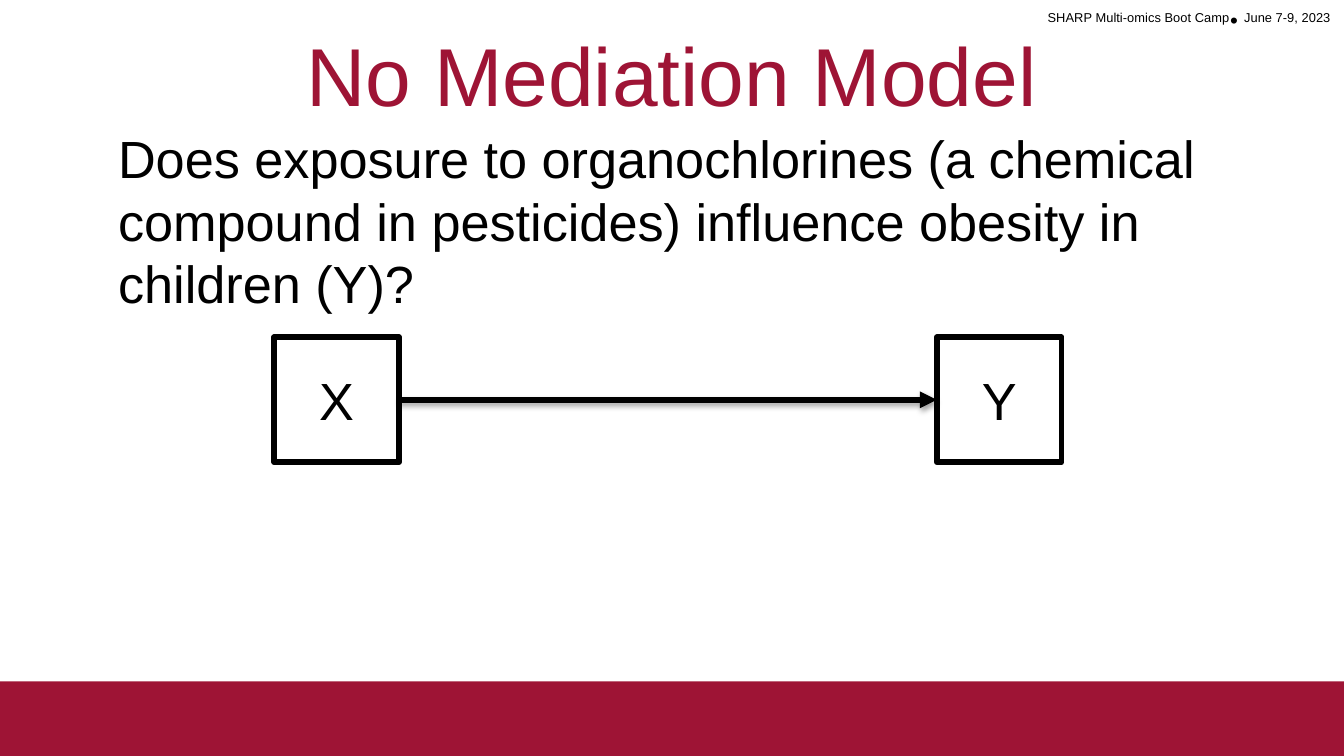
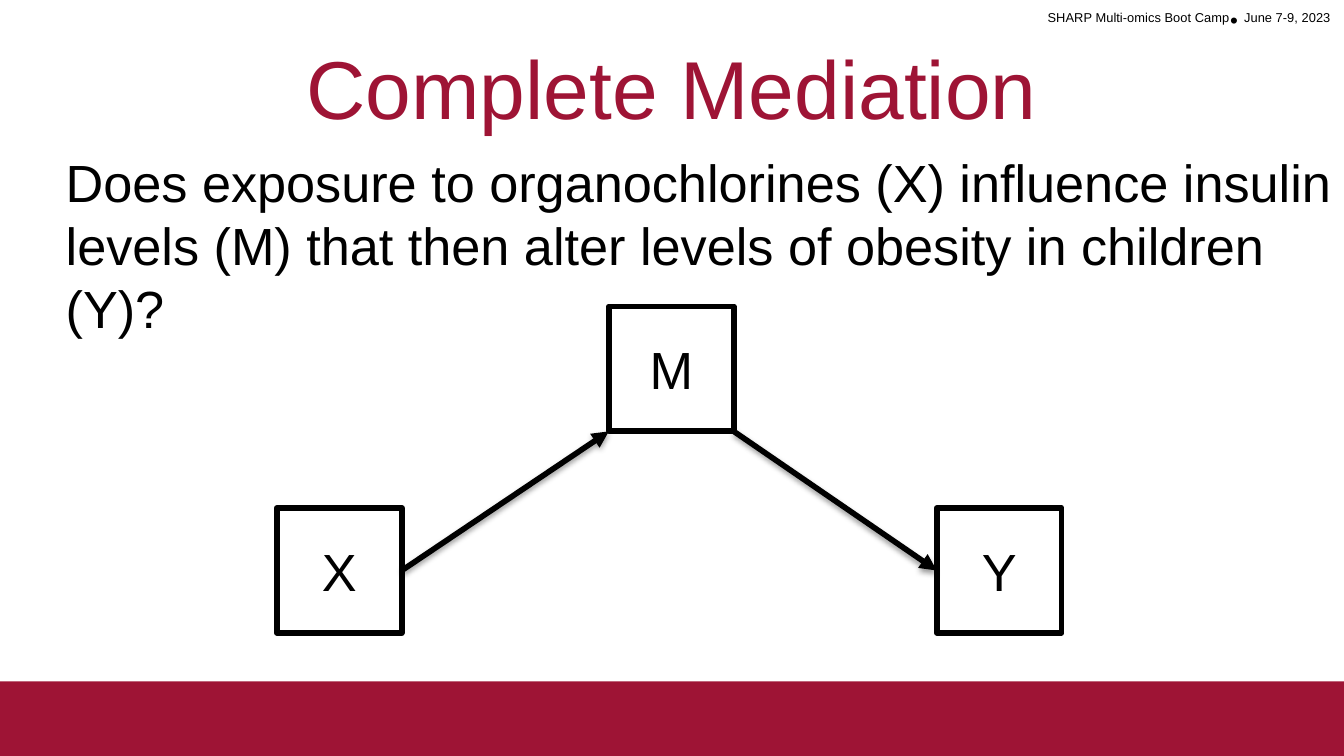
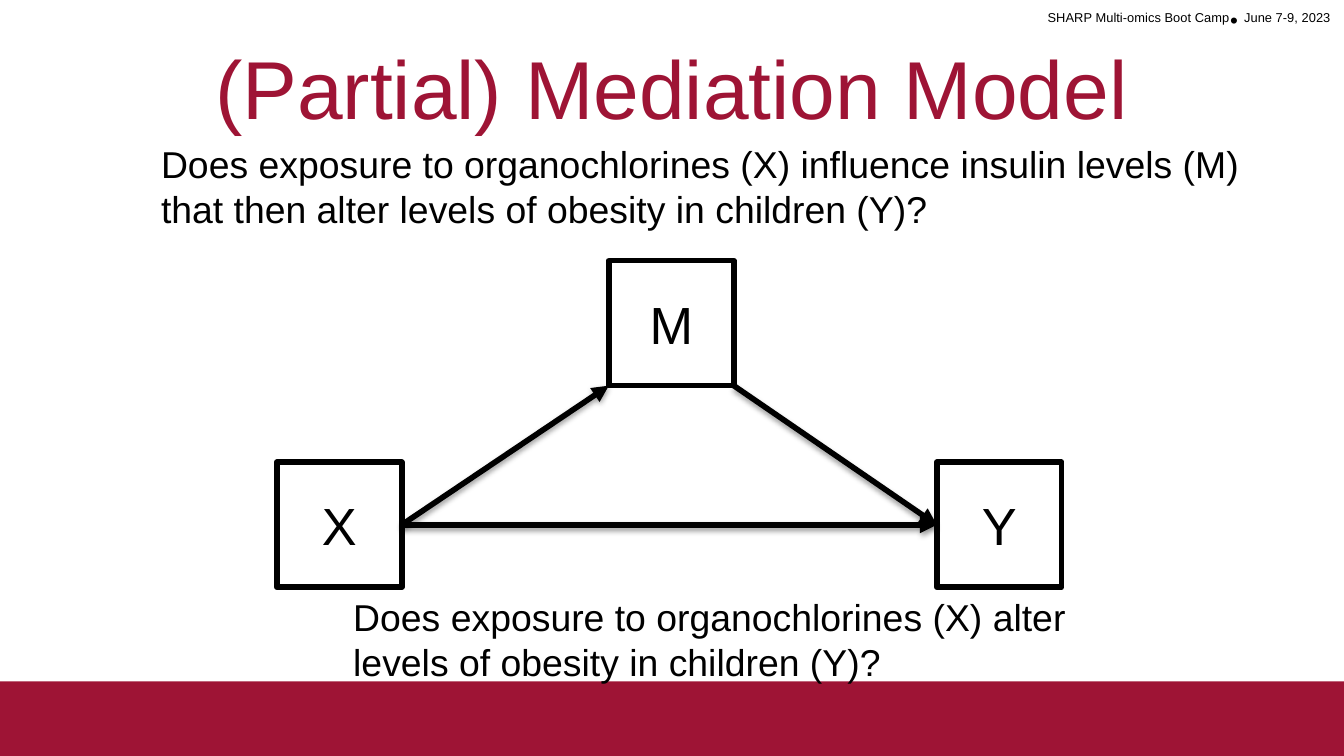
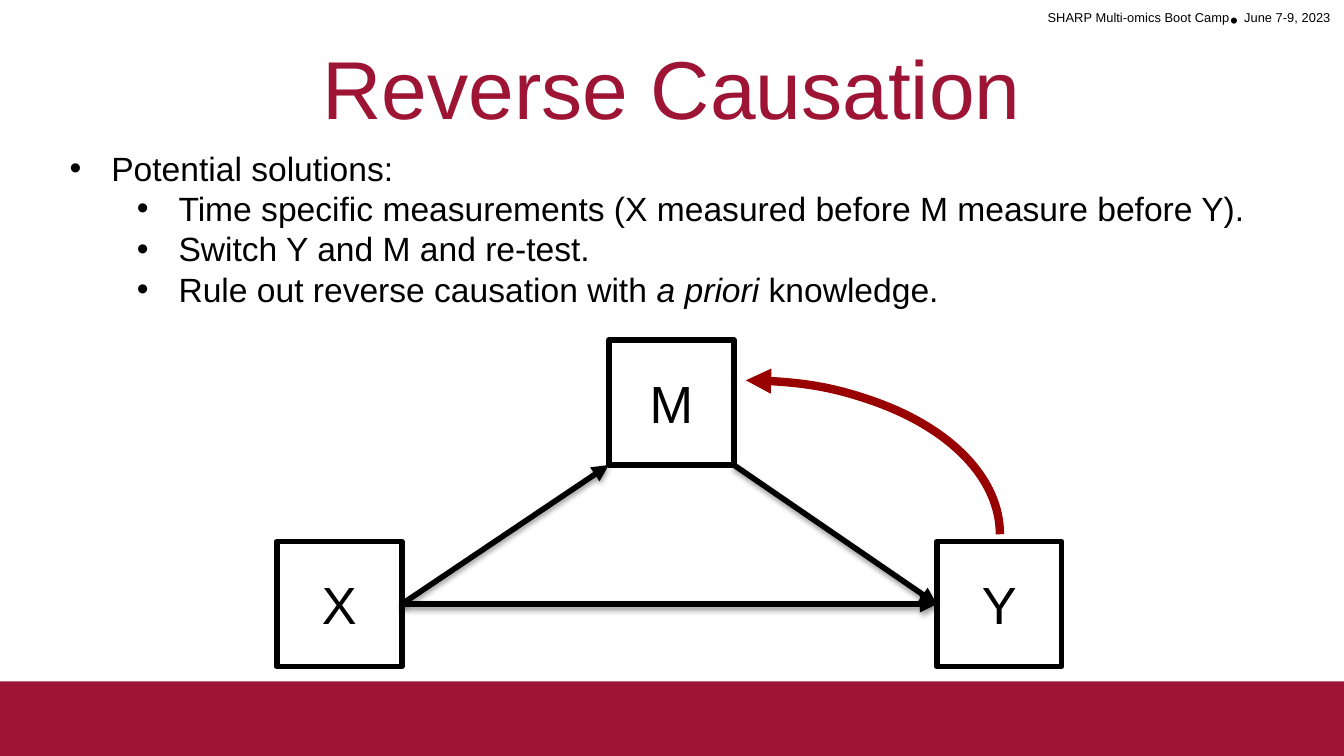
from dataclasses import dataclass

from lxml import etree
from pptx import Presentation
from pptx.dml.color import RGBColor
from pptx.enum.shapes import MSO_CONNECTOR, MSO_SHAPE
from pptx.enum.text import MSO_ANCHOR, PP_ALIGN
from pptx.oxml.ns import qn
from pptx.util import Inches, Pt

RECTANGLE = MSO_SHAPE.RECTANGLE
ARC = MSO_SHAPE.ARC
STRAIGHT = MSO_CONNECTOR.STRAIGHT
MIDDLE = MSO_ANCHOR.MIDDLE
LEFT, CENTER, RIGHT = PP_ALIGN.LEFT, PP_ALIGN.CENTER, PP_ALIGN.RIGHT
LEFT_SIDE, RIGHT_SIDE = 1, 3


@dataclass(frozen=True)
class Theme:
    """Colours, type sizes and line widths that the slides share."""
    font: str = "Arial"
    crimson: RGBColor = RGBColor(0x9E, 0x14, 0x35)
    reverse: RGBColor = RGBColor(0x99, 0x00, 0x00)
    ink: RGBColor = RGBColor(0, 0, 0)
    paper: RGBColor = RGBColor(0xFF, 0xFF, 0xFF)
    title: int = 44
    question: int = 28
    note: int = 20
    bullet: int = 18
    header: int = 12
    node_line: int = 3
    reverse_line: float = 4.5
    leading: float = 1.2


THEME = Theme()
NODE_SIZE = 0.93
NODE_X, NODE_M, NODE_Y = 2.06, 4.53, 6.97
MEDIATOR_RISE = 1.5
INDENT = 0.31
LEVEL_STEP = 0.5


def style(paragraph, size, color=THEME.ink, align=LEFT):
    """Set the font and alignment of a paragraph."""
    paragraph.alignment = align
    paragraph.font.name = THEME.font
    paragraph.font.size = Pt(size)
    paragraph.font.color.rgb = color


def add_text_frame(slide, left, top, width, height):
    """Add a wrapping text box and return its text frame."""
    box = slide.shapes.add_textbox(
        Inches(left), Inches(top), Inches(width), Inches(height))
    box.text_frame.word_wrap = True
    return box.text_frame


def add_shape(slide, preset, left, top, width, height):
    """Add a preset shape without shadow, fill or line."""
    shape = slide.shapes.add_shape(
        preset, Inches(left), Inches(top), Inches(width), Inches(height))
    shape.shadow.inherit = False
    shape.fill.background()
    shape.line.fill.background()
    return shape


def set_line(line, color, width):
    """Give a line its colour and width."""
    line.color.rgb = color
    line.width = Pt(width)


def add_arrowhead(shape, end):
    """Put a triangle on the headEnd or tailEnd of a line."""
    line = shape.line._get_or_add_ln()
    etree.SubElement(line, qn(f"a:{end}"), type="triangle")


def add_soft_shadow(arrow):
    """Drop a soft shadow straight below an arrow."""
    effects = etree.SubElement(arrow._element.spPr, qn("a:effectLst"))
    shadow = etree.SubElement(
        effects, qn("a:outerShdw"), blurRad=str(Pt(3.1)), dist=str(Pt(1.6)),
        dir="5400000", rotWithShape="0")
    color = etree.SubElement(shadow, qn("a:srgbClr"), val=str(THEME.ink))
    etree.SubElement(color, qn("a:alpha"), val="38000")


def add_header(slide):
    """Write the event and its date at the top right."""
    paragraph = add_text_frame(slide, 6.04, 0, 3.96, 0.3).paragraphs[0]
    for text, raised in (("SHARP Multi-omics Boot Camp", True), ("• ", False),
                         ("June 7-9, 2023", True)):
        run = paragraph.add_run()
        run.text = text
        if raised:
            run._r.get_or_add_rPr().set("baseline", "30000")
    style(paragraph, THEME.header, align=RIGHT)


def add_slide(prs, title, title_top=0.23):
    """Start a slide with its bottom band, header and title."""
    slide = prs.slides.add_slide(prs.slide_layouts[6])
    band = add_shape(slide, RECTANGLE, 0, 5.07, 10.01, 0.57)
    band.fill.solid()
    band.fill.fore_color.rgb = THEME.crimson
    add_header(slide)
    paragraph = add_text_frame(slide, 0.5, title_top, 9, 0.94).paragraphs[0]
    paragraph.text = title
    style(paragraph, THEME.title, THEME.crimson, CENTER)
    return slide


def add_question(slide, text, left, top, width, height, size=THEME.question):
    """Write a research question."""
    paragraph = add_text_frame(slide, left, top, width, height).paragraphs[0]
    paragraph.text = text
    paragraph.line_spacing = Pt(size * THEME.leading)
    style(paragraph, size)


def add_bullets(slide, items, left, top, width, height):
    """Write bullets given as a level and (text, italic) runs."""
    frame = add_text_frame(slide, left, top, width, height)
    for index, (level, runs) in enumerate(items):
        paragraph = frame.paragraphs[0] if index == 0 else frame.add_paragraph()
        paragraph.level = level
        paragraph.line_spacing = Pt(THEME.bullet * THEME.leading)
        properties = paragraph._p.get_or_add_pPr()
        properties.set("marL", str(Inches(INDENT + level * LEVEL_STEP)))
        properties.set("indent", str(-Inches(INDENT)))
        etree.SubElement(properties, qn("a:buFont"), typeface=THEME.font)
        etree.SubElement(properties, qn("a:buChar"), char="•")
        for text, italic in runs:
            run = paragraph.add_run()
            run.text = text
            if italic:
                run.font.italic = True
        style(paragraph, THEME.bullet)


def add_node(slide, letter, left, top, filled=True):
    """Draw a square for one variable of the model."""
    node = add_shape(slide, RECTANGLE, left, top, NODE_SIZE, NODE_SIZE)
    if filled:
        node.fill.solid()
        node.fill.fore_color.rgb = THEME.paper
    set_line(node.line, THEME.ink, THEME.node_line)
    node.text_frame.vertical_anchor = MIDDLE
    paragraph = node.text_frame.paragraphs[0]
    paragraph.text = letter
    style(paragraph, THEME.question, align=CENTER)
    return node


def add_arrow(slide, start, end, source=None, target=None):
    """Draw an arrow, joined to the right of source and left of target."""
    arrow = slide.shapes.add_connector(STRAIGHT, *start, *end)
    if source is not None:
        arrow.begin_connect(source, RIGHT_SIDE)
    if target is not None:
        arrow.end_connect(target, LEFT_SIDE)
    set_line(arrow.line, THEME.ink, THEME.node_line)
    add_arrowhead(arrow, "tailEnd")
    add_soft_shadow(arrow)


def add_model(slide, top, mediated=True, direct=True, x_left=NODE_X):
    """Draw the path diagram with X and Y at the given top."""
    outcome = add_node(slide, "Y", NODE_Y, top, filled=False)
    exposure = add_node(slide, "X", x_left, top)
    middle = exposure.top + exposure.height // 2
    leaving = (exposure.left + exposure.width, middle)
    arriving = (outcome.left, middle)
    if mediated:
        mediator = add_node(slide, "M", NODE_M, top - MEDIATOR_RISE)
        base = mediator.top + mediator.height
        add_arrow(slide, leaving, (mediator.left, base), source=exposure)
        add_arrow(slide, (mediator.left + mediator.width, base), arriving,
                  target=outcome)
    if direct:
        add_arrow(slide, leaving, arriving, exposure, outcome)


def add_reverse_path(slide):
    """Draw the curved arrow from Y back to M."""
    curve = add_shape(slide, ARC, 3.66, 2.83, 3.78, 2.29)
    set_line(curve.line, THEME.reverse, THEME.reverse_line)
    add_arrowhead(curve, "headEnd")


def main():
    """Build the four slides and save them."""
    prs = Presentation()
    prs.slide_width = Inches(10)
    prs.slide_height = prs.slide_width * 9 // 16
    mediation_question = (
        "Does exposure to organochlorines (X) influence insulin levels (M) "
        "that then alter levels of obesity in children (Y)?")

    slide = add_slide(prs, "No Mediation Model", title_top=0.13)
    add_model(slide, 2.51, mediated=False, x_left=2.04)
    add_question(
        slide, "Does exposure to organochlorines (a chemical compound in "
        "pesticides) influence obesity in children (Y)?", 0.78, 0.89, 8.45, 1.51)

    slide = add_slide(prs, "Complete Mediation")
    add_model(slide, 3.78, direct=False)
    add_question(slide, mediation_question, 0.39, 1.07, 9.61, 1.51)

    slide = add_slide(prs, "(Partial) Mediation Model")
    add_model(slide, 3.44)
    add_question(
        slide, "Does exposure to organochlorines (X) alter levels of obesity "
        "in children (Y)?", 2.53, 4.37, 6.16, 0.77, THEME.note)
    add_question(slide, mediation_question, 1.1, 1, 8.73, 0.77, THEME.note)

    slide = add_slide(prs, "Reverse Causation")
    add_model(slide, 4.03)
    add_reverse_path(slide)
    add_bullets(slide, [
        (0, [("Potential solutions:", False)]),
        (1, [("Time specific measurements (X measured before M measure before Y).",
              False)]),
        (1, [("Switch Y and M and re-test.", False)]),
        (1, [("Rule out reverse causation with ", False), ("a priori", True),
             (" knowledge.", False)]),
    ], 0.42, 1.05, 9.08, 1.31)

    prs.save("out.pptx")


if __name__ == "__main__":
    main()
